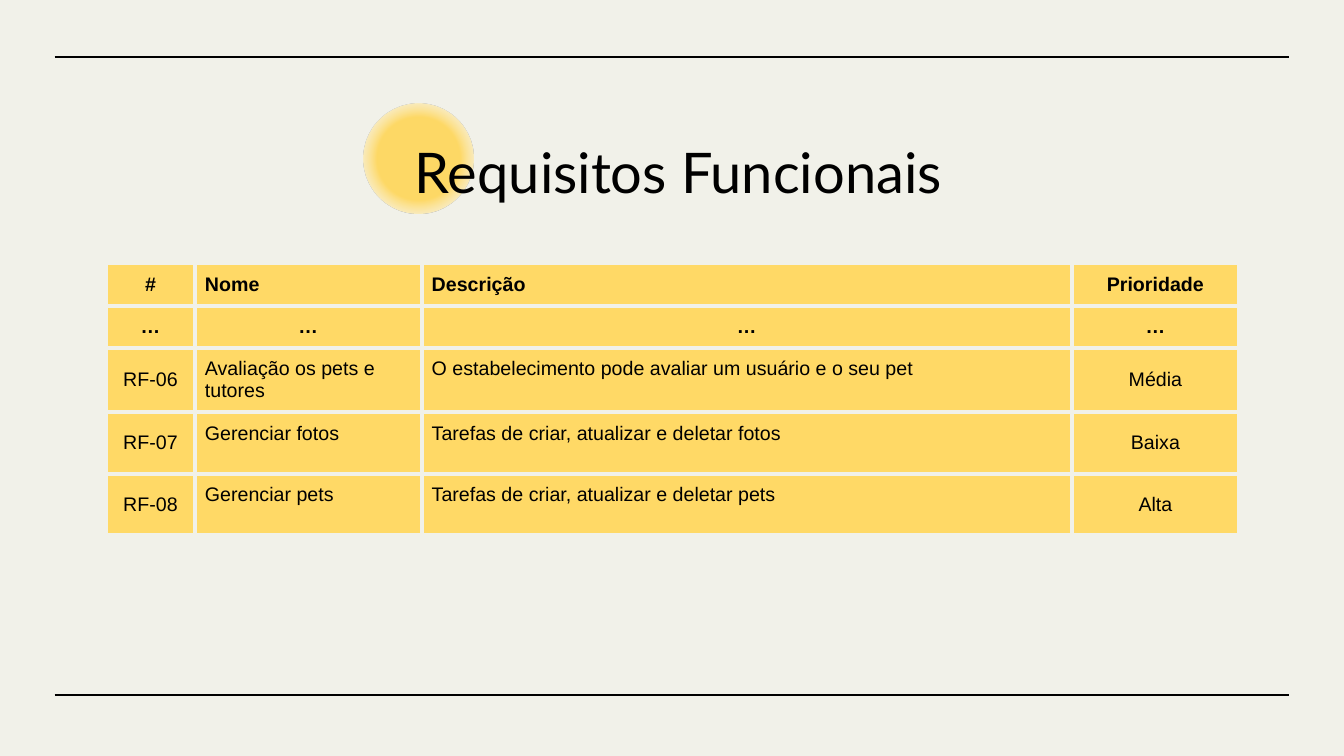
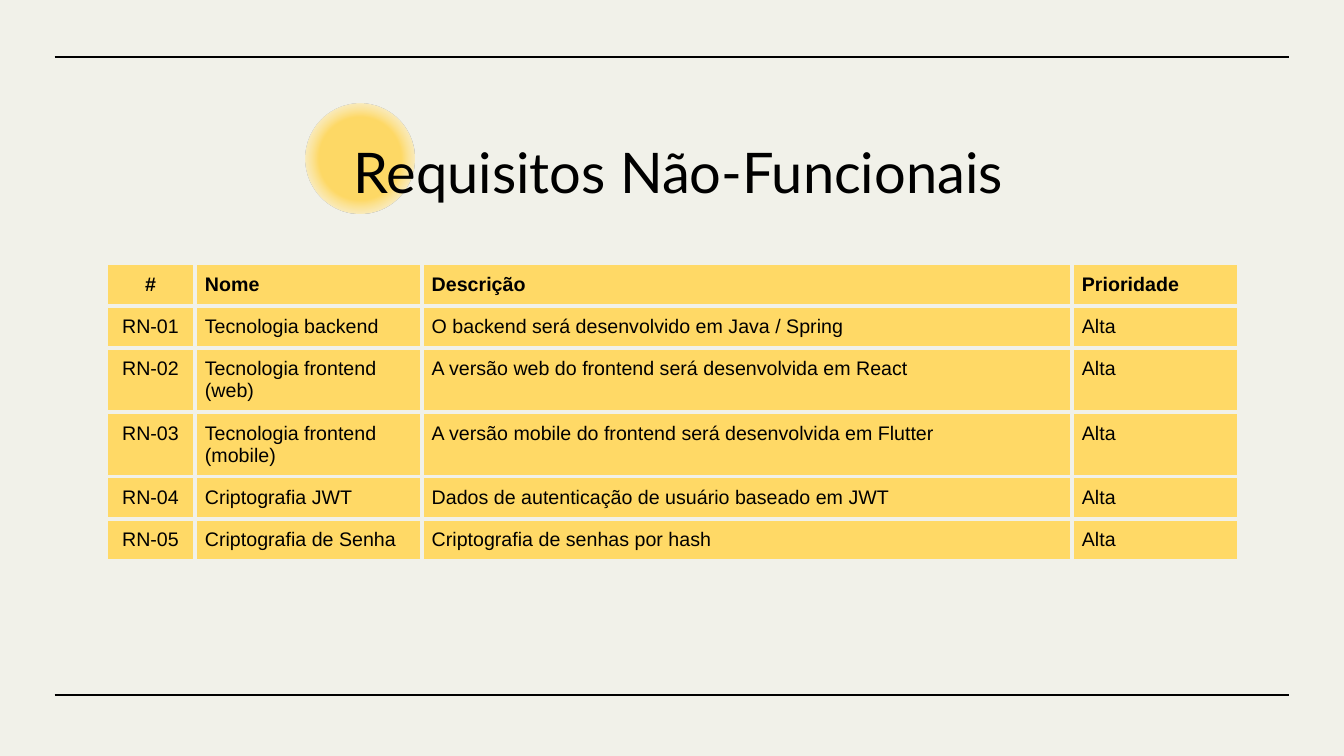
from dataclasses import dataclass
from pptx import Presentation
from pptx.dml.color import RGBColor as RGB
from pptx.enum.shapes import MSO_CONNECTOR as Connector, MSO_SHAPE as Shape
from pptx.enum.text import MSO_ANCHOR as Anchor, MSO_AUTO_SIZE as AutoSize, PP_ALIGN as Align
from pptx.oxml import parse_xml
from pptx.oxml.ns import nsdecls, qn
from pptx.util import Pt


@dataclass(frozen=True)
class Theme:
    paper: str = "F1F1E9"
    ink: str = "000000"
    sun: str = "FFD966"
    glow: str = "FFFFFF"
    title_font: str = "Lato"
    title_size: int = 40
    table_font: str = "Arial"
    table_size: int = 14
    rule_width: float = 1.5
    border_width: int = 3


THEME = Theme()
MARGINS = ("margin_left", "margin_top", "margin_right", "margin_bottom")
COLUMN_WIDTHS = (63.4, 162, 464.4, 119.5)
ROW_HEIGHT = 30.2
TALL_ROW = 43.9
ELLIPSIS = "…"

SLIDES = [
    {
        "title": "Requisitos Funcionais",
        "sun_left": 260,
        "centred_columns": (0, 3),
        "centred_anchor": Anchor.MIDDLE,
        "heights": [ROW_HEIGHT] * 3 + [TALL_ROW] * 2,
        "rows": [
            ("#", "Nome", "Descrição", "Prioridade"),
            (ELLIPSIS,) * 4,
            ("RF-06", "Avaliação os pets e tutores",
             "O estabelecimento pode avaliar um usuário e o seu pet", "Média"),
            ("RF-07", "Gerenciar fotos", "Tarefas de criar, atualizar e deletar fotos", "Baixa"),
            ("RF-08", "Gerenciar pets", "Tarefas de criar, atualizar e deletar pets", "Alta"),
        ],
    },
    {
        "title": "Requisitos Não-Funcionais",
        "sun_left": 218,
        "centred_columns": (0,),
        "centred_anchor": Anchor.TOP,
        "heights": [ROW_HEIGHT] * 6,
        "rows": [
            ("#", "Nome", "Descrição", "Prioridade"),
            ("RN-01", "Tecnologia backend", "O backend será desenvolvido em Java / Spring", "Alta"),
            ("RN-02", "Tecnologia frontend (web)",
             "A versão web do frontend será desenvolvida em React", "Alta"),
            ("RN-03", "Tecnologia frontend (mobile)",
             "A versão mobile do frontend será desenvolvida em Flutter", "Alta"),
            ("RN-04", "Criptografia JWT", "Dados de autenticação de usuário baseado em JWT", "Alta"),
            ("RN-05", "Criptografia de Senha", "Criptografia de senhas por hash", "Alta"),
        ],
    },
]


def format_text(paragraph, align, **font_values):
    paragraph.alignment = align
    font = paragraph.runs[0].font
    for name, value in font_values.items():
        setattr(font, name, value)
    font.color.rgb = RGB.from_string(THEME.ink)


def format_cell(cell, text, centred, bold, anchor):
    cell.text = text
    cell.vertical_anchor = anchor
    for margin in MARGINS:
        setattr(cell, margin, Pt(7.2))
    format_text(cell.text_frame.paragraphs[0], Align.CENTER if centred else Align.LEFT,
                name=THEME.table_font, size=Pt(THEME.table_size), bold=bold)
    properties = cell._tc.get_or_add_tcPr()
    for side in ("lnL", "lnR", "lnT", "lnB"):
        properties.append(parse_xml(
            f'<a:{side} {nsdecls("a")} w="{Pt(THEME.border_width)}"><a:solidFill>'
            f'<a:srgbClr val="{THEME.paper}"/></a:solidFill></a:{side}>'))
    cell.fill.solid()
    cell.fill.fore_color.rgb = RGB.from_string(THEME.sun)


presentation = Presentation()
presentation.slide_width, presentation.slide_height = Pt(960), Pt(540)
background = presentation.slide_master.background.fill
background.solid()
background.fore_color.rgb = RGB.from_string(THEME.paper)

layout = presentation.slide_layouts.get_by_name("Title Only")
title_box = {"left": 69, "top": 92.2, "width": 831, "height": 60}
for name, value in title_box.items():
    setattr(layout.placeholders[0], name, Pt(value))

slides = [presentation.slides.add_slide(layout) for _ in SLIDES]

# Rules are drawn on a slide, then moved to the layout that both slides share.
for number, top in enumerate((40.5, 496.5)):
    rule = slides[0].shapes.add_connector(Connector.STRAIGHT, Pt(39), Pt(top), Pt(921), Pt(top))
    rule.line.width = Pt(THEME.rule_width)
    rule.line.color.rgb = RGB.from_string(THEME.ink)
    rule.element.spPr.append(parse_xml(f'<a:effectLst {nsdecls("a")}/>'))
    rule.element.nvCxnSpPr.cNvPr.id = 20 + number
    layout.shapes.element.append(rule.element)

for slide, content in zip(slides, SLIDES):
    title = slide.shapes.title
    frame = title.text_frame
    frame.text = content["title"]
    frame_values = {"vertical_anchor": Anchor.MIDDLE, "word_wrap": True,
                    "auto_size": AutoSize.NONE, **dict.fromkeys(MARGINS, Pt(9.6))}
    for name, value in frame_values.items():
        setattr(frame, name, value)
    format_text(frame.paragraphs[0], Align.CENTER,
                name=THEME.title_font, size=Pt(THEME.title_size))

    sun = slide.shapes.add_shape(Shape.OVAL, Pt(content["sun_left"]), Pt(74.2), Pt(78), Pt(78))
    sun.shadow.inherit = False
    sun.line.fill.background()
    sun.element.spPr.find(qn("a:prstGeom")).addnext(parse_xml(
        f'<a:gradFill {nsdecls("a")}><a:gsLst>'
        f'<a:gs pos="0"><a:srgbClr val="{THEME.sun}"/></a:gs>'
        f'<a:gs pos="53000"><a:srgbClr val="{THEME.sun}"/></a:gs>'
        f'<a:gs pos="100000"><a:srgbClr val="{THEME.glow}"><a:alpha val="2000"/></a:srgbClr></a:gs>'
        '</a:gsLst><a:path path="circle"><a:fillToRect l="50000" t="50000" r="50000" b="50000"/>'
        '</a:path></a:gradFill>'))
    title.element.addprevious(sun.element)

    rows, heights = content["rows"], content["heights"]
    table = slide.shapes.add_table(len(rows), len(COLUMN_WIDTHS), Pt(75.8), Pt(188.2),
                                   Pt(sum(COLUMN_WIDTHS)), Pt(sum(heights))).table
    table.first_row = table.horz_banding = False
    for column, width in zip(table.columns, COLUMN_WIDTHS):
        column.width = Pt(width)
    for row_index, (row, height, texts) in enumerate(zip(table.rows, heights, rows)):
        row.height = Pt(height)
        for column_index, (cell, text) in enumerate(zip(row.cells, texts)):
            in_centred_column = column_index in content["centred_columns"]
            format_cell(cell, text,
                        centred=in_centred_column or text == ELLIPSIS,
                        bold=row_index == 0 or text == ELLIPSIS,
                        anchor=content["centred_anchor"] if in_centred_column else Anchor.TOP)

presentation.save("out.pptx")
